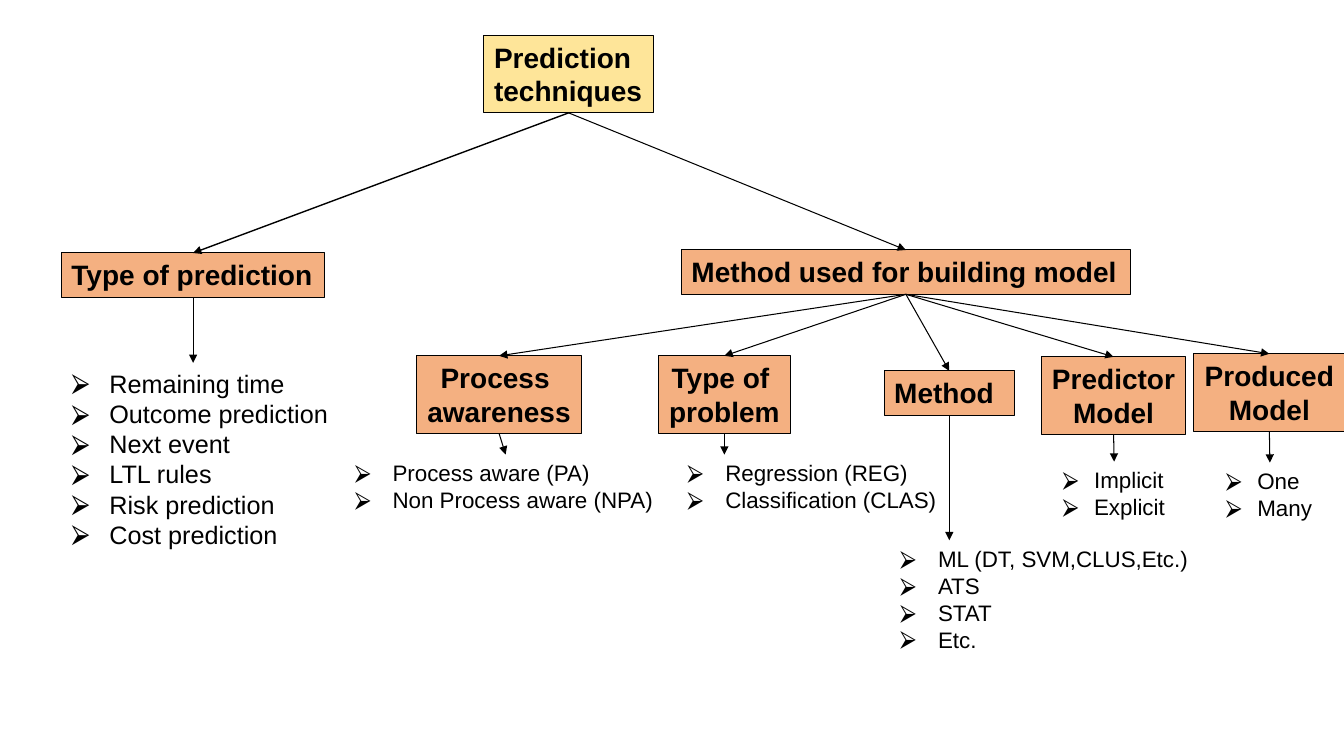
from lxml import etree
from pptx import Presentation
from pptx import util as u
from pptx.dml import color
from pptx.enum import shapes, text
from pptx.oxml import ns

# Grid: square cells, 75 rows high and 133.3 columns wide
SLIDE_ROWS, SLIDE_COLUMNS = 75, 133.3
CELL = u.Inches(7.5) / SLIDE_ROWS
FONT = "Arial"
BLACK, WHITE, YELLOW, ORANGE = "000000", "FFFFFF", "FEE599", "F4B081"
LEFT, CENTER = text.PP_ALIGN.LEFT, text.PP_ALIGN.CENTER
TOP, BOTTOM = 0, 2

# Each branch: heading lines, alignment, heading area, list items, list area,
# list indent, and whether the arrow meets the middle of the list's top
METHOD_BRANCHES = [
    (["Process ", "awareness"], CENTER, (41.3, 35.3, 16.4, 7.7),
     ["Process aware (PA)", "Non Process aware (NPA)"],
     (34.2, 45.1, 31.9, 6.4), 3.75, True),
    (["Type of ", "problem"], CENTER, (65.3, 35.3, 13.1, 7.7),
     ["Regression (REG)", "Classification (CLAS)"],
     (67.2, 45.1, 27, 6.4), 3.75, False),
    (["Method"], LEFT, (87.7, 36.8, 12.9, 4.4),
     ["ML (DT, SVM,CLUS,Etc.)", "ATS", "STAT", "Etc."],
     (88.3, 53.6, 30.9, 11.8), 3.75, False),
    (["Predictor", "Model"], CENTER, (103.3, 35.4, 14.3, 7.7),
     ["Implicit", "Explicit"], (104.4, 45.8, 12.2, 6.4), 3.13, True),
    (["Produced", "Model"], CENTER, (118.4, 35.1, 15, 7.7),
     ["One", "Many"], (120.6, 45.9, 10.7, 6.4), 3.13, True),
]


def cells(count):
    return u.Emu(round(count * CELL))


def rgb(hex_color):
    return color.RGBColor.from_string(hex_color)


def place(shape, area):
    shape.left, shape.top, shape.width, shape.height = map(cells, area)


def add_rectangle(slide, area):
    rectangle = slide.shapes.add_shape(
        shapes.MSO_SHAPE.RECTANGLE, *map(cells, area))
    rectangle.shadow.inherit = False
    rectangle.line.fill.background()
    return rectangle


def write_lines(shape, lines, size, bold, alignment):
    """Fill a shape with one paragraph per line and return the paragraphs."""
    frame = shape.text_frame
    frame.word_wrap = True
    # A growing placeholder would keep the layout's height, so its size is fixed
    frame.auto_size = (text.MSO_AUTO_SIZE.NONE if shape.is_placeholder
                       else text.MSO_AUTO_SIZE.SHAPE_TO_FIT_TEXT)
    frame.vertical_anchor = text.MSO_ANCHOR.TOP
    for index, line in enumerate(lines):
        paragraph = frame.add_paragraph() if index else frame.paragraphs[0]
        paragraph.alignment = alignment
        paragraph.space_before = u.Pt(0)
        run = paragraph.add_run()
        run.text = line
        run.font.name, run.font.size, run.font.bold = FONT, u.Pt(size), bold
        run.font.color.rgb = rgb(BLACK)
    return frame.paragraphs


def format_heading(shape, lines, fill, alignment=LEFT):
    shape.fill.solid()
    shape.fill.fore_color.rgb = rgb(fill)
    shape.line.color.rgb = rgb(BLACK)
    shape.line.width = u.Pt(0.75)
    write_lines(shape, lines, 20, True, alignment)
    return shape


def format_list(shape, items, size, indent):
    for paragraph in write_lines(shape, items, size, False, LEFT):
        properties = paragraph._p.get_or_add_pPr()
        properties.set("marL", str(cells(indent)))
        properties.set("indent", str(-cells(indent)))
        bullet_color = etree.SubElement(properties, ns.qn("a:buClr"))
        etree.SubElement(bullet_color, ns.qn("a:srgbClr"), val=BLACK)
        etree.SubElement(properties, ns.qn("a:buFont"), typeface=FONT)
        etree.SubElement(properties, ns.qn("a:buChar"), char="⮚")
    return shape


def add_arrow(slide, parent, child, to_middle=True, width=0.75):
    """Draw from the parent's bottom to the child's top, or straight down."""
    middle = parent.left + parent.width // 2
    arrow = slide.shapes.add_connector(
        shapes.MSO_CONNECTOR.STRAIGHT,
        middle, parent.top + parent.height, middle, child.top)
    arrow.begin_connect(parent, BOTTOM)
    if to_middle:
        arrow.end_connect(child, TOP)
    arrow.line.color.rgb = rgb(BLACK)
    arrow.line.width = u.Pt(width)
    line = arrow.line._get_or_add_ln()
    etree.SubElement(line, ns.qn("a:tailEnd"), type="triangle")
    etree.SubElement(arrow._element.spPr, ns.qn("a:effectLst"))


def add_branch(slide, parent, branch):
    lines, alignment, area, items, list_area, indent, to_middle = branch
    heading = format_heading(
        add_rectangle(slide, area), lines, ORANGE, alignment)
    options = add_rectangle(slide, list_area)
    options.fill.solid()
    options.fill.fore_color.rgb = rgb(WHITE)
    format_list(options, items, 16, indent)
    return [(parent, heading, True), (heading, options, to_middle)]


def main():
    presentation = Presentation()
    presentation.slide_width = cells(SLIDE_COLUMNS)
    presentation.slide_height = cells(SLIDE_ROWS)
    slide = presentation.slides.add_slide(presentation.slide_layouts[1])

    # Root of the tree
    root = slide.shapes.title
    place(root, (48, 3.5, 16.8, 7.7))
    format_heading(root, ["Prediction", "techniques"], YELLOW)

    # Two main headings
    prediction_type = format_heading(
        add_rectangle(slide, (6.1, 25.1, 26.1, 4.4)),
        ["Type of prediction"], ORANGE)
    building_method = format_heading(
        add_rectangle(slide, (67.6, 24.8, 44.5, 4.4)),
        ["Method used for building model"], ORANGE)

    # Types of prediction
    type_list = slide.placeholders[1]
    place(type_list, (6.1, 36, 27.7, 19.2))
    format_list(type_list, [
        "Remaining time", "Outcome prediction", "Next event",
        "LTL rules", "Risk prediction", "Cost prediction"], 18, 3.75)

    # Branches of the building method
    links = []
    for branch in METHOD_BRANCHES:
        links += add_branch(slide, building_method, branch)

    # Arrows, in front of all boxes
    add_arrow(slide, root, prediction_type, width=1)
    add_arrow(slide, root, building_method)
    add_arrow(slide, prediction_type, type_list, to_middle=False)
    for parent, child, to_middle in links:
        add_arrow(slide, parent, child, to_middle)

    presentation.save("out.pptx")


if __name__ == "__main__":
    main()
